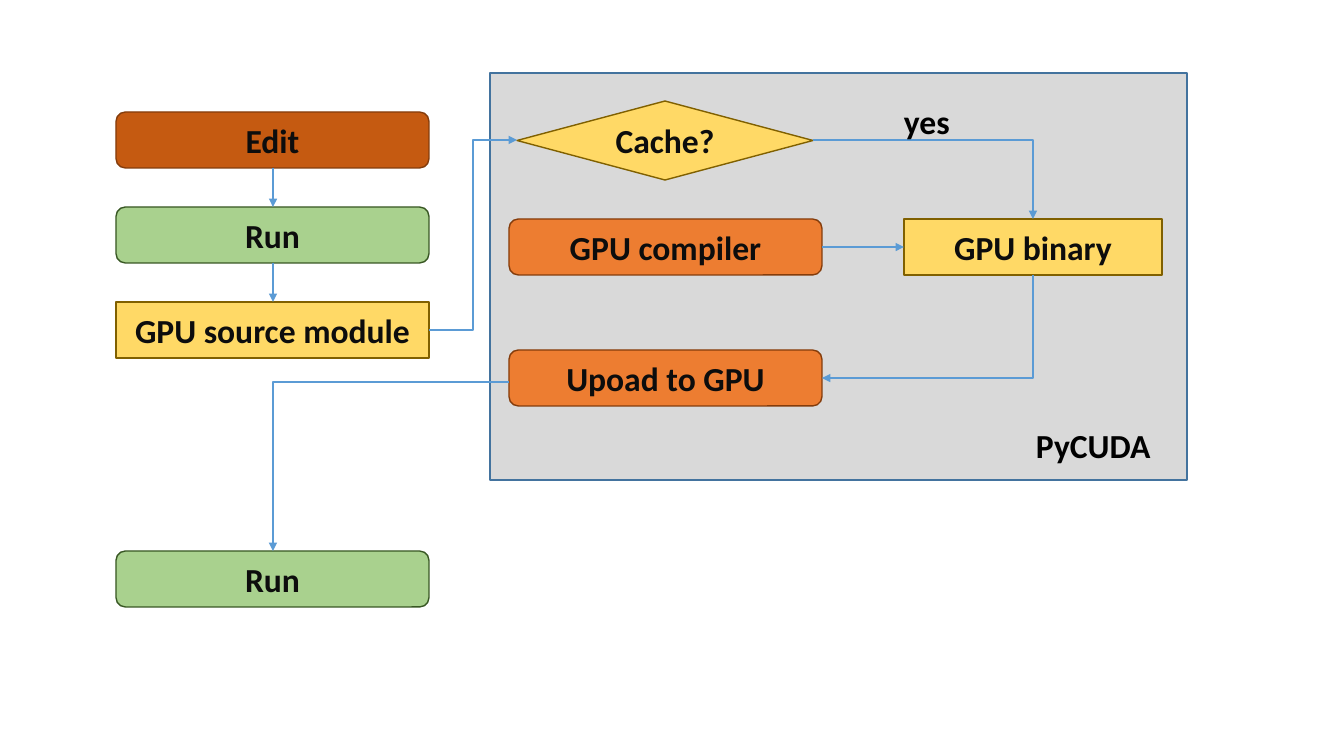
import pptx
import pptx.util
import pptx.dml.color
import pptx.enum.shapes
import pptx.enum.text
import pptx.oxml.ns
import lxml.etree

SHAPE = pptx.enum.shapes.MSO_SHAPE
WIRE = pptx.enum.shapes.MSO_CONNECTOR
ALIGN = pptx.enum.text.PP_ALIGN
ANCHOR = pptx.enum.text.MSO_ANCHOR
SIZE = pptx.enum.text.MSO_AUTO_SIZE
qn = pptx.oxml.ns.qn

SCALE = 914400 / 100.8
WIDE, HIGH = 313, 56
EDGE, STEP, TOP = 116, 95, 112
INNER = 509

EDIT = ("C55A11", "843C0B")
RUN = ("A9D18E", "385723")
DATA = ("FFD966", "806000")
TASK = ("ED7D31", "843C0B")
PANEL = ("D9D9D9", "43739E")


def px(*vals):
    return [round(val * SCALE) for val in vals]


def color(code):
    return pptx.dml.color.RGBColor.from_string(code)


def write(shape, text, code):
    shape.text_frame.text = text
    para = shape.text_frame.paragraphs[0]
    font = para.runs[0].font
    font.name = "Calibri"
    font.size = pptx.util.Pt(24)
    font.bold = True
    font.color.rgb = color(code)
    return para


def box(slide, kind, area, theme, text=None):
    shape = slide.shapes.add_shape(kind, *px(*area))
    shape.shadow.inherit = False
    shape.fill.solid()
    shape.fill.fore_color.rgb = color(theme[0])
    shape.line.color.rgb = color(theme[1])
    shape.line.width = pptx.util.Pt(1)
    if text:
        write(shape, text, "0D0D0D").alignment = ALIGN.CENTER
        shape.text_frame.vertical_anchor = ANCHOR.MIDDLE


def label(slide, area, text):
    shape = slide.shapes.add_textbox(*px(*area))
    write(shape, text, "000000")
    shape.text_frame.word_wrap = False
    shape.text_frame.auto_size = SIZE.SHAPE_TO_FIT_TEXT


def arrow(slide, kind, ends):
    line = slide.shapes.add_connector(kind, *px(*ends))
    line.line.color.rgb = color("5B9BD5")
    line.line.width = pptx.util.Pt(2)
    props = line._element.spPr
    stroke = props.find(qn("a:ln"))
    lxml.etree.SubElement(stroke, qn("a:tailEnd"), type="triangle")
    lxml.etree.SubElement(props, qn("a:effectLst"))
    return props


def corner(slide, ends):
    props = arrow(slide, WIRE.ELBOW, ends)
    props.find(qn("a:prstGeom")).set("prst", "bentConnector2")
    return props


def turn(slide, ends):
    right, top, left, low = ends
    midx, midy = (left + right) / 2, (top + low) / 2
    halfx, halfy = (low - top) / 2, (right - left) / 2
    props = corner(slide, (midx - halfx, midy - halfy, midx + halfx, midy + halfy))
    props.find(qn("a:xfrm")).set("rot", "5400000")


def main():
    deck = pptx.Presentation()
    deck.slide_width, deck.slide_height = px(1344, 756)
    slide = deck.slides.add_slide(deck.slide_layouts[6])

    steps = [
        (SHAPE.ROUNDED_RECTANGLE, EDIT, "Edit"),
        (SHAPE.ROUNDED_RECTANGLE, RUN, "Run"),
        (SHAPE.RECTANGLE, DATA, "GPU source module"),
    ]
    for row, (kind, theme, text) in enumerate(steps):
        box(slide, kind, (EDGE, TOP + row * STEP, WIDE, HIGH), theme, text)
    box(slide, SHAPE.ROUNDED_RECTANGLE, (EDGE, 551, WIDE, HIGH), RUN, "Run")

    box(slide, SHAPE.RECTANGLE, (490, 73, 697, 407), PANEL)
    box(slide, SHAPE.DIAMOND, (517, 101, 296, 79), DATA, "Cache?")
    for top, text in ((219, "GPU compiler"), (350, "Upoad to GPU")):
        box(slide, SHAPE.ROUNDED_RECTANGLE, (INNER, top, WIDE, HIGH), TASK, text)
    box(slide, SHAPE.RECTANGLE, (904, 219, 258, HIGH), DATA, "GPU binary")

    for row in range(2):
        low = TOP + row * STEP + HIGH
        arrow(slide, WIRE.STRAIGHT, (273, low, 273, low + STEP - HIGH))
    arrow(slide, WIRE.STRAIGHT, (INNER + WIDE, 247, 904, 247))
    arrow(slide, WIRE.ELBOW, (EDGE + WIDE, 330, 517, 140))
    corner(slide, (INNER, 382, 273, 551))
    corner(slide, (813, 140, 1033, 219))
    turn(slide, (1033, 275, INNER + WIDE, 378))

    label(slide, (1026, 420, 136, 50), "PyCUDA")
    label(slide, (894, 96, 67, 50), "yes")
    deck.save("out.pptx")


main()
